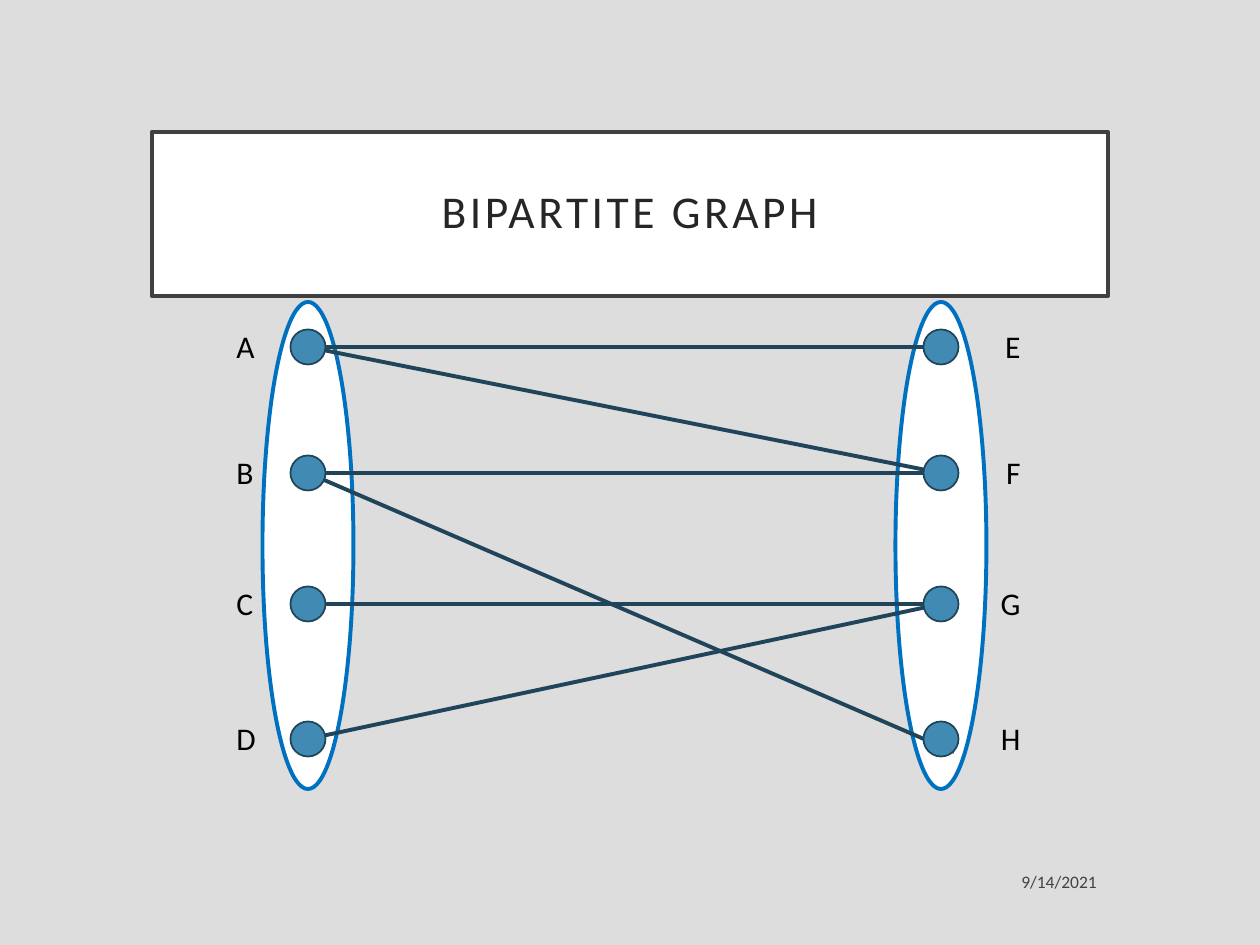
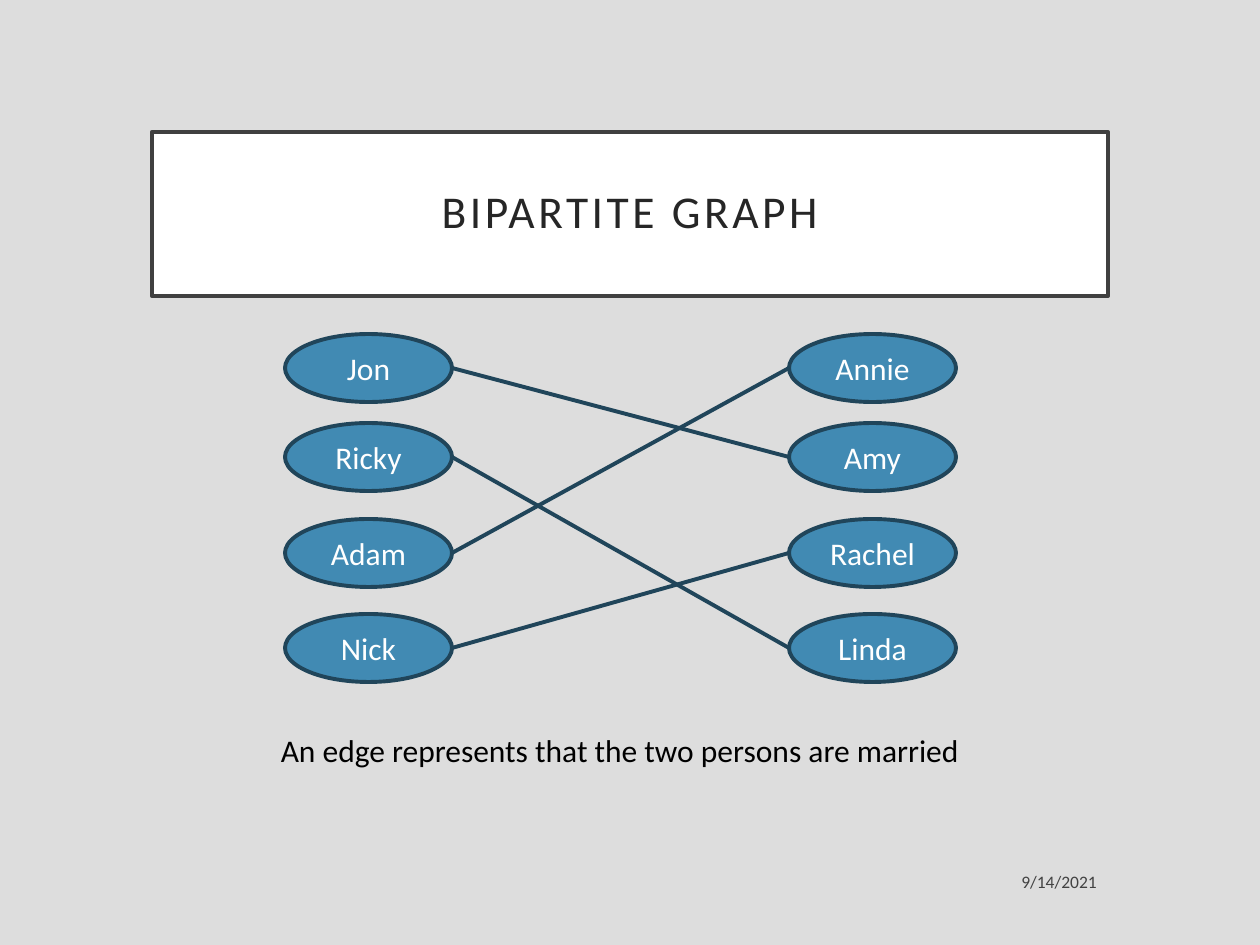
from collections import namedtuple
from dataclasses import dataclass

from lxml.etree import SubElement
from pptx import Presentation
from pptx.dml.color import RGBColor
from pptx.enum.shapes import MSO_CONNECTOR, MSO_SHAPE
from pptx.enum.text import MSO_ANCHOR, PP_ALIGN
from pptx.oxml.ns import qn
from pptx.util import Emu, Pt

Box = namedtuple("Box", "left top width height")


@dataclass(frozen=True)
class Theme:
    font: str = "Calibri"
    background: str = "DDDDDD"
    panel: str = "FFFFFF"
    title_border: str = "404040"
    title_text: str = "262626"
    date_text: str = "424242"
    body_text: str = "000000"
    node: str = "418AB3"
    node_text: str = "FFFFFF"
    edge: str = "20455A"
    group_border: str = "0070C0"
    title_size: float = 26
    body_size: float = 18
    date_size: float = 10
    title_border_width: float = 2.5
    line_width: float = 2.25
    thin_line_width: float = 1


THEME = Theme()
PAGE = Box(0, 0, 1260, 945)
TITLE = Box(152, 132, 956, 164)
DATE = Box(824, 859, 285, 44)
LETTER_GRAPH = Box(224, 302, 809, 487)
COUPLE_GRAPH = Box(285, 334, 671, 349)
CAPTION = Box(262, 725, 716, 50)


def px(length):
    return Emu(round(length * 914400 / 126))


def emu_box(box):
    return [px(length) for length in box]


def color(code):
    return RGBColor.from_string(code)


def add_panel(page, kind, box, fill, border, border_width):
    shape = page.shapes.add_shape(kind, *emu_box(box))
    shape.shadow.inherit = False
    shape.fill.solid()
    shape.fill.fore_color.rgb = color(fill)
    shape.line.color.rgb = color(border)
    shape.line.width = Pt(border_width)
    return shape


def write(shape, text, size, text_color, align, anchor=MSO_ANCHOR.MIDDLE):
    frame = shape.text_frame
    frame.vertical_anchor = anchor
    para = frame.paragraphs[0]
    para.text = text
    para.alignment = align
    para.font.name = THEME.font
    para.font.size = Pt(size)
    para.font.color.rgb = color(text_color)
    return para


def add_label(page, box, text, align):
    label = page.shapes.add_textbox(*emu_box(box))
    label.text_frame.word_wrap = False
    write(label, text, THEME.body_size, THEME.body_text, align, MSO_ANCHOR.TOP)


def add_edge(page, start, end):
    edge = page.shapes.add_connector(
        MSO_CONNECTOR.STRAIGHT, *[px(length) for length in (*start, *end)])
    edge.line.color.rgb = color(THEME.edge)
    edge.line.width = Pt(THEME.line_width)
    SubElement(edge._element.spPr, qn("a:effectLst"))


def add_title(page, box, text):
    panel = add_panel(page, MSO_SHAPE.RECTANGLE, box, THEME.panel,
                      THEME.title_border, THEME.title_border_width)
    para = write(panel, text, THEME.title_size, THEME.title_text, PP_ALIGN.CENTER)
    para.line_spacing = 0.9
    para.runs[0]._r.get_or_add_rPr().set("spc", "200")


def add_date(page, box, text):
    date = page.shapes.add_textbox(*emu_box(box))
    date.text_frame.word_wrap = True
    write(date, text, THEME.date_size, THEME.date_text, PP_ALIGN.RIGHT)


def add_page(deck):
    page = deck.slides.add_slide(deck.slide_layouts[6])
    page.background.fill.solid()
    page.background.fill.fore_color.rgb = color(THEME.background)
    add_title(page, TITLE, "BIPARTITE GRAPH")
    add_date(page, DATE, "9/14/2021")
    return page


def letter_graph(page, box):
    group_width, dot, label_width, label_height = 91, 35, 48, 50
    columns = (box.left + 84, box.left + 717)
    rows = [box.top + offset for offset in (45, 171, 302, 437)]
    label_lefts = (box.left, box.left + box.width - label_width)
    aligns = (PP_ALIGN.LEFT, PP_ALIGN.RIGHT)
    centers = {}
    for x, letters in zip(columns, ("ABCD", "EFGH")):
        group = Box(x - group_width / 2, box.top, group_width, box.height)
        add_panel(page, MSO_SHAPE.OVAL, group, THEME.panel,
                  THEME.group_border, THEME.line_width)
        centers.update((letter, (x, y)) for letter, y in zip(letters, rows))

    for start, end in ("AE", "AF", "BF", "CG", "DG"):
        add_edge(page, centers[start], centers[end])
    add_edge(page, centers["B"], [length + 13 for length in centers["H"]])

    for letter, (x, y) in centers.items():
        add_panel(page, MSO_SHAPE.OVAL, Box(x - dot / 2, y - dot / 2, dot, dot),
                  THEME.node, THEME.edge, THEME.thin_line_width)
        side = columns.index(x)
        label = Box(label_lefts[side], y - label_height / 2 - 1,
                    label_width, label_height)
        add_label(page, label, letter, aligns[side])


def couple_graph(page, box):
    oval_width, oval_height = 167, 68
    husbands = ("Jon", "Ricky", "Adam", "Nick")
    wives = ("Annie", "Amy", "Rachel", "Linda")
    couples = {"Jon": "Amy", "Ricky": "Linda", "Adam": "Annie", "Nick": "Rachel"}
    tops = [box.top + offset for offset in (0, 89, 185, 280)]
    inner_left = box.left + oval_width
    inner_right = box.left + box.width - oval_width
    middles = {}
    for left, names in ((box.left, husbands), (inner_right, wives)):
        for name, top in zip(names, tops):
            oval = add_panel(page, MSO_SHAPE.OVAL,
                             Box(left, top, oval_width, oval_height),
                             THEME.node, THEME.edge, THEME.line_width)
            write(oval, name, THEME.body_size, THEME.node_text, PP_ALIGN.CENTER)
            middles[name] = top + oval_height / 2
    for husband, wife in couples.items():
        add_edge(page, (inner_left, middles[husband]), (inner_right, middles[wife]))


def main():
    deck = Presentation()
    deck.slide_width, deck.slide_height = px(PAGE.width), px(PAGE.height)
    letter_graph(add_page(deck), LETTER_GRAPH)
    couple_page = add_page(deck)
    couple_graph(couple_page, COUPLE_GRAPH)
    add_label(couple_page, CAPTION,
              "An edge represents that the two persons are married", PP_ALIGN.CENTER)
    deck.save("out.pptx")


if __name__ == "__main__":
    main()
